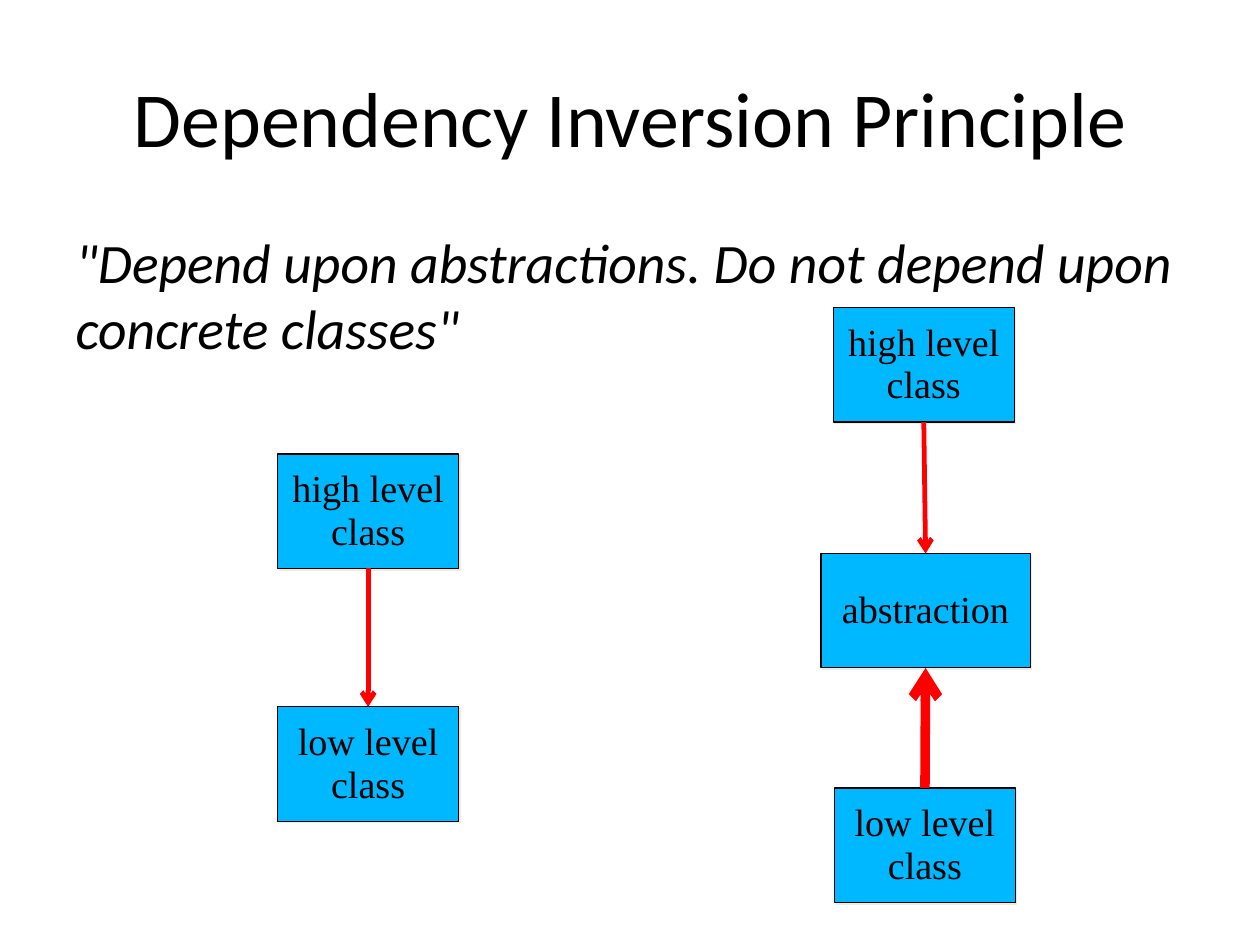
from dataclasses import dataclass

from lxml import etree
from pptx import Presentation
from pptx import util as u
from pptx.dml.color import RGBColor
from pptx.enum import shapes, text
from pptx.oxml.ns import qn
from pptx.shapes.autoshape import Shape
from pptx.slide import Slide

BLACK = RGBColor(0x00, 0x00, 0x00)
RED = RGBColor(0xFF, 0x00, 0x00)
BOX_BLUE = RGBColor(0x00, 0xB8, 0xFF)
SHADOW_CREAM = RGBColor(0xEE, 0xEC, 0xE1)

SLIDE_WIDTH = u.Inches(11.02)
SLIDE_HEIGHT = u.Inches(8.27)
BOX_HEIGHT = 12.09
CLASS_WIDTH = 14.34


@dataclass(frozen=True)
class Box:
    """A labelled box; lengths are percentages of the slide's size."""
    label: str
    centre: float
    top: float
    width: float = CLASS_WIDTH


@dataclass(frozen=True)
class Arrow:
    """An arrow between two boxes, running down unless upward is set."""
    start: str
    end: str
    weight: float = 3
    upward: bool = False


BOXES = {
    "direct high": Box("high level class", 29.22, 48),
    "direct low": Box("low level class", 29.22, 74.73),
    "abstraction": Box("abstraction", 73.46, 58.52, 16.61),
    "inverted high": Box("high level class", 73.32, 32.53),
    "inverted low": Box("low level class", 73.41, 83.31),
}
ARROWS = [
    Arrow("direct high", "direct low"),
    Arrow("inverted low", "abstraction", weight=6, upward=True),
    Arrow("inverted high", "abstraction"),
]


def across(percent: float) -> int:
    return round(SLIDE_WIDTH * percent / 100)


def down(percent: float) -> int:
    return round(SLIDE_HEIGHT * percent / 100)


def write_text(shape: Shape, content: str, *, size: float, font_name: str = "Calibri",
               italic: bool = False, alignment=text.PP_ALIGN.CENTER,
               anchor=text.MSO_ANCHOR.MIDDLE, line_spacing: float = 1.0,
               margins: tuple[float, float] = (0.1, 0.05)) -> None:
    frame = shape.text_frame
    frame.text = content
    frame.word_wrap = True
    frame.auto_size = text.MSO_AUTO_SIZE.NONE
    frame.vertical_anchor = anchor
    frame.margin_left = frame.margin_right = u.Inches(margins[0])
    frame.margin_top = frame.margin_bottom = u.Inches(margins[1])
    paragraph = frame.paragraphs[0]
    properties = paragraph._p.get_or_add_pPr()
    properties.set("marL", "0")
    properties.set("indent", "0")
    etree.SubElement(properties, qn("a:buNone"))
    paragraph.alignment = alignment
    paragraph.line_spacing = line_spacing
    paragraph.space_before = u.Pt(0)
    font = paragraph.runs[0].font
    font.name = font_name
    font.size = u.Pt(size)
    font.italic = italic
    font.color.rgb = BLACK


def place(shape: Shape, left: float, top: float, width: float, height: float) -> None:
    shape.left, shape.top = across(left), down(top)
    shape.width, shape.height = across(width), down(height)


def add_offset_shadow(shape: Shape) -> None:
    shape.shadow.inherit = False
    effects = shape._element.spPr.find(qn("a:effectLst"))
    shadow = etree.SubElement(effects, qn("a:outerShdw"), blurRad="0",
                              dist=str(u.Pt(1.4)), dir="2700000", algn="ctr")
    etree.SubElement(shadow, qn("a:srgbClr"), val=str(SHADOW_CREAM))


def add_box(slide: Slide, box: Box) -> Shape:
    shape = slide.shapes.add_shape(
        shapes.MSO_SHAPE.RECTANGLE, across(box.centre - box.width / 2), down(box.top),
        across(box.width), down(BOX_HEIGHT))
    shape.fill.solid()
    shape.fill.fore_color.rgb = BOX_BLUE
    shape.line.color.rgb = BLACK
    shape.line.width = u.Pt(0.75)
    add_offset_shadow(shape)
    write_text(shape, box.label, size=24, font_name="Times New Roman", line_spacing=0.93)
    return shape


def add_arrow(slide: Slide, arrow: Arrow, drawn: dict[str, Shape]) -> None:
    top_site, bottom_site = 0, 2
    sites = (top_site, bottom_site) if arrow.upward else (bottom_site, top_site)
    connector = slide.shapes.add_connector(shapes.MSO_CONNECTOR.STRAIGHT, 0, 0, 0, 0)
    connector.begin_connect(drawn[arrow.start], sites[0])
    connector.end_connect(drawn[arrow.end], sites[1])
    connector.line.color.rgb = RED
    connector.line.width = u.Pt(arrow.weight)
    etree.SubElement(connector.line._get_or_add_ln(), qn("a:tailEnd"), type="arrow")
    etree.SubElement(connector._element.spPr, qn("a:effectLst"))


def main() -> None:
    presentation = Presentation()
    presentation.slide_width = SLIDE_WIDTH
    presentation.slide_height = SLIDE_HEIGHT
    slide = presentation.slides.add_slide(presentation.slide_layouts[1])

    title, body = slide.placeholders
    place(title, 5, 4, 90, 16.67)
    write_text(title, "Dependency Inversion Principle", size=49, margins=(0.11, 0.06))
    place(body, 5, 23.33, 90, 66)
    write_text(body, '"Depend upon abstractions. Do not depend upon concrete classes"',
               size=35, italic=True, alignment=text.PP_ALIGN.LEFT,
               anchor=text.MSO_ANCHOR.TOP, margins=(0.11, 0.06))

    drawn = {name: add_box(slide, box) for name, box in BOXES.items()}
    for arrow in ARROWS:
        add_arrow(slide, arrow, drawn)
    presentation.save("out.pptx")


if __name__ == "__main__":
    main()
